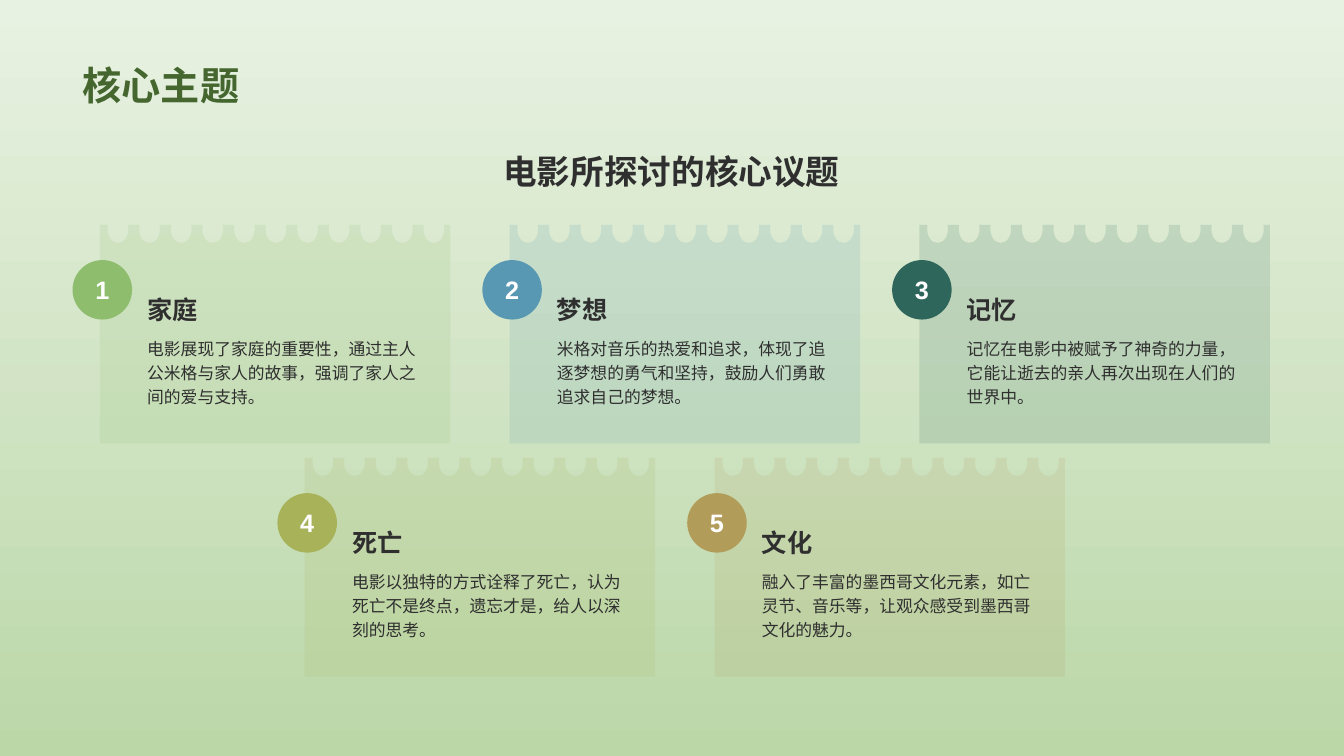
import typing
from dataclasses import dataclass

import lxml.etree
import pptx
import pptx.dml.color
import pptx.enum.shapes
import pptx.enum.text
import pptx.oxml
import pptx.oxml.ns
import pptx.util

WIDTH, HEIGHT = pptx.util.Inches(13.33), pptx.util.Inches(7.5)
INK, WHITE = "2F2F2F", "FFFFFF"
ALIGN = pptx.enum.text.PP_ALIGN
ANCHOR = pptx.enum.text.MSO_ANCHOR

# Lengths are percent of the slide's width (across) and height (down).
LEFT, TOP = 7.43, 29.73
COL, ROW = 30.49, 30.83
CARD_W, CARD_H = 26.07, 28.93
HOLES, FIRST, PITCH = 11, 1.35, 2.35
MOUTH, PULL, DEPTH = 0.75, 1.0, 3.2


@dataclass(frozen=True)
class Box:
    left: float
    top: float
    width: float
    height: float

    def shift(self, right: float, below: float) -> "Box":
        return Box(self.left + right, self.top + below, self.width, self.height)

    def size(self) -> tuple[int, int, int, int]:
        return (across(self.left), down(self.top),
                across(self.width), down(self.height))


@dataclass(frozen=True)
class Theme:
    col: float
    row: int
    color: str
    head: str
    body: str


TITLE = Box(5.4, 1.87, 89.12, 13.07)
TOPIC = Box(5.4, 16.53, 89.12, 12.27)
# Parts of a card, measured from its top left corner.
BADGE = Box(-2.03, 4.67, 4.43, 7.87)
HEAD = Box(2.78, 3.33, 22.51, 10.53)
BODY = Box(2.78, 13.87, 22.51, 14)

THEMES = [
    Theme(0, 0, "8EBD6E", "家庭",
          "电影展现了家庭的重要性，通过主人公米格与家人的故事，强调了家人之间的爱与支持。"),
    Theme(1, 0, "5998B2", "梦想",
          "米格对音乐的热爱和追求，体现了追逐梦想的勇气和坚持，鼓励人们勇敢追求自己的梦想。"),
    Theme(2, 0, "2E665C", "记忆",
          "记忆在电影中被赋予了神奇的力量，它能让逝去的亲人再次出现在人们的世界中。"),
    Theme(0.5, 1, "A7B259", "死亡",
          "电影以独特的方式诠释了死亡，认为死亡不是终点，遗忘才是，给人以深刻的思考。"),
    Theme(1.5, 1, "B29C59", "文化",
          "融入了丰富的墨西哥文化元素，如亡灵节、音乐等，让观众感受到墨西哥文化的魅力。"),
]


def across(share: float) -> int:
    return round(WIDTH * share / 100)


def down(share: float) -> int:
    return round(HEIGHT * share / 100)


def tint(color: typing.Any, code: str) -> None:
    color.rgb = pptx.dml.color.RGBColor.from_string(code)


def paint(shape: typing.Any, code: str, alpha: int = 100) -> None:
    """Fill a shape without line or shadow; alpha is percent opaque."""
    shape.shadow.inherit = False
    shape.line.fill.background()
    shape.fill.solid()
    tint(shape.fill.fore_color, code)
    if alpha < 100:
        tag = shape._element.spPr.find(".//" + pptx.oxml.ns.qn("a:srgbClr"))
        lxml.etree.SubElement(tag, pptx.oxml.ns.qn("a:alpha"),
                              val=str(alpha * 1000))


def write(shape: typing.Any, text: str, *, size: int, color: str = INK,
          bold: bool = False, align: typing.Any = ALIGN.LEFT,
          anchor: typing.Any = ANCHOR.TOP, wrap: bool = True,
          space: float = 1.0) -> None:
    frame = shape.text_frame
    frame.auto_size = pptx.enum.text.MSO_AUTO_SIZE.NONE
    frame.word_wrap = wrap
    frame.vertical_anchor = anchor
    frame.text = text
    line = frame.paragraphs[0]
    line.alignment = align
    line.line_spacing = space
    font = line.runs[0].font
    font.name, font.size, font.bold = "Arial", pptx.util.Pt(size), bold
    tint(font.color, color)


def bend(shape: typing.Any) -> None:
    """Turn the last three of each hole's four lines into one curve."""
    lines = shape._element.findall(".//" + pptx.oxml.ns.qn("a:lnTo"))
    for start in range(1, HOLES * 4, 4):
        first, *rest = lines[start:start + 3]
        first.tag = pptx.oxml.ns.qn("a:cubicBezTo")
        for line in rest:
            first.append(line[0])
            line.getparent().remove(line)


def draw_sheet(shapes: typing.Any, left: float, top: float, color: str) -> None:
    """Draw the card's paper, with a row of round holes cut in its top edge."""
    points = []
    for hole in range(HOLES):
        mid = left + FIRST + hole * PITCH
        points += [(mid - MOUTH, top), (mid - PULL, top + DEPTH),
                   (mid + PULL, top + DEPTH), (mid + MOUTH, top)]
    right, base = left + CARD_W, top + CARD_H
    points += [(right, top), (right, base), (left, base)]
    pen = shapes.build_freeform(across(left), down(top))
    pen.add_line_segments([(across(x), down(y)) for x, y in points], close=True)
    sheet = pen.convert_to_shape()
    bend(sheet)
    paint(sheet, color, alpha=15)


def draw_card(shapes: typing.Any, rank: int, theme: Theme) -> None:
    left, top = LEFT + theme.col * COL, TOP + theme.row * ROW
    draw_sheet(shapes, left, top, theme.color)
    badge = shapes.add_shape(pptx.enum.shapes.MSO_SHAPE.OVAL,
                             *BADGE.shift(left, top).size())
    paint(badge, theme.color)
    write(badge, str(rank), size=18, color=WHITE, bold=True,
          align=ALIGN.CENTER, anchor=ANCHOR.MIDDLE, wrap=False)
    write(shapes.add_textbox(*BODY.shift(left, top).size()), theme.body,
          size=12, space=1.2)
    write(shapes.add_textbox(*HEAD.shift(left, top).size()), theme.head,
          size=18, bold=True, anchor=ANCHOR.BOTTOM)


def main() -> None:
    deck = pptx.Presentation()
    deck.slide_width, deck.slide_height = WIDTH, HEIGHT
    slide = deck.slides.add_slide(deck.slide_layouts[5])
    back = slide.background.fill
    back.gradient()
    back.gradient_angle = 90
    for stop, code in zip(back.gradient_stops, ("BBD7A8", "E8F2E2")):
        tint(stop.color, code)

    title = slide.shapes.title
    title.left, title.top, title.width, title.height = TITLE.size()
    write(title, "核心主题", size=28, color="45672F", bold=True,
          anchor=ANCHOR.BOTTOM)
    write(slide.shapes.add_textbox(*TOPIC.size()), "电影所探讨的核心议题",
          size=24, bold=True, align=ALIGN.CENTER, anchor=ANCHOR.MIDDLE)
    for rank, theme in enumerate(THEMES, 1):
        draw_card(slide.shapes, rank, theme)
    deck.save("out.pptx")


if __name__ == "__main__":
    main()
